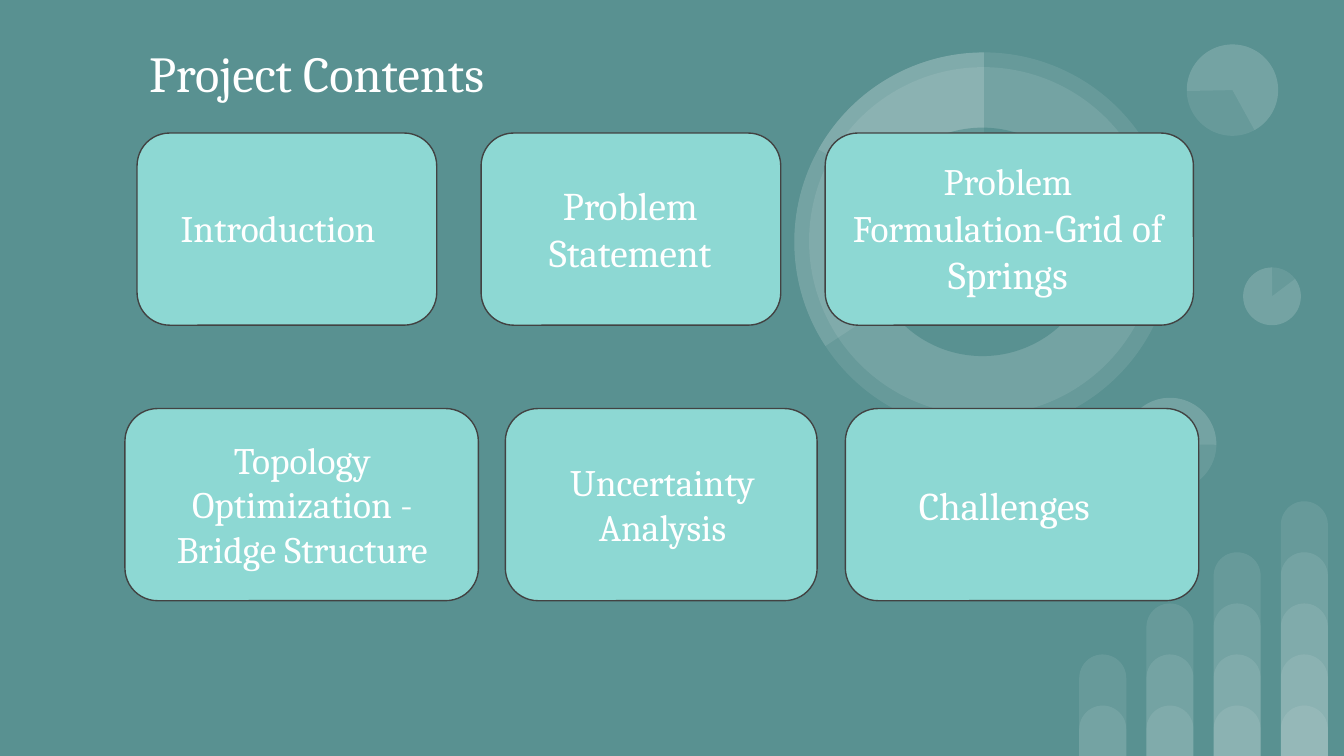
from lxml import etree
from pptx import Presentation
from pptx.dml.color import RGBColor
from pptx.enum.shapes import MSO_SHAPE
from pptx.enum.text import MSO_ANCHOR, MSO_AUTO_SIZE, PP_ALIGN
from pptx.oxml.ns import qn
from pptx.util import Inches, Pt

TEAL = RGBColor(0x59, 0x91, 0x91)
MINT = RGBColor(0x8D, 0xD8, 0xD3)
CHARCOAL = RGBColor(0x42, 0x42, 0x42)
WHITE = RGBColor(0xFF, 0xFF, 0xFF)
SLIDE_WIDTH = 10
SLIDE_HEIGHT = SLIDE_WIDTH * 9 / 16

presentation = Presentation()
presentation.slide_width = Inches(SLIDE_WIDTH)
presentation.slide_height = Inches(SLIDE_HEIGHT)
slide = presentation.slides.add_slide(presentation.slide_layouts[5])
slide.background.fill.solid()
slide.background.fill.fore_color.rgb = TEAL


def add_filled_shape(kind, box, color, opacity=100):
    """Add a shadowless, borderless shape; opacity is in percent."""
    shape = slide.shapes.add_shape(kind, *map(Inches, box))
    shape.shadow.inherit = False
    shape.line.fill.background()
    shape.fill.solid()
    shape.fill.fore_color.rgb = color
    if opacity < 100:
        color_element = shape.fill._xPr.find(qn("a:solidFill"))[0]
        etree.SubElement(color_element, qn("a:alpha"), val=str(opacity * 1000))
    return shape


def write_text(shape, runs, alignment):
    """Fill a shape with one paragraph of (text, size) runs."""
    frame = shape.text_frame
    frame_format = {
        "word_wrap": True, "auto_size": MSO_AUTO_SIZE.SHAPE_TO_FIT_TEXT,
        "vertical_anchor": MSO_ANCHOR.TOP,
        "margin_left": Inches(0.1), "margin_right": Inches(0.1),
        "margin_top": Inches(0.1), "margin_bottom": Inches(0.1),
    }
    for name, value in frame_format.items():
        setattr(frame, name, value)
    paragraph = frame.paragraphs[0]
    paragraph.alignment = alignment
    for text, size in runs:
        run = paragraph.add_run()
        run.text = text
        for name, value in {"name": "Cambria", "size": Pt(size)}.items():
            setattr(run.font, name, value)
        run.font.color.rgb = WHITE


# Bars: each column stacks one more overlapping layer than the one before
for column in range(4):
    for layer in range(column + 2):
        top = 5.25 - 0.38 * layer
        bar = add_filled_shape(
            MSO_SHAPE.ROUND_2_SAME_RECTANGLE,
            (8.03 + 0.5 * column, top, 0.35, SLIDE_HEIGHT - top), WHITE, 9)
        bar.adjustments[0] = 0.5
        bar.adjustments[1] = 0

# Discs, back to front: left, top, diameter, rotation, colour, opacity,
# and for a pie slice its start and end angle in degrees
RING = (5.91, 0.39, 2.82)
LOWER_DISC = (8.36, 2.96, 0.69)
MIDDLE_DISC = (9.25, 1.99, 0.43)
UPPER_DISC = (8.83, 0.33, 0.68)
discs = [
    (*MIDDLE_DISC, 0, WHITE, 9, None),
    (*LOWER_DISC, 90, WHITE, 9, None),
    (*LOWER_DISC, 90, WHITE, 9, (137.41, 270.77)),
    (8.5, 3.09, 0.43, 90, WHITE, 9, None),
    (*MIDDLE_DISC, 0, WHITE, 9, (322.95, 270)),
    (*UPPER_DISC, 215.9, WHITE, 9, None),
    (*UPPER_DISC, 215.9, WHITE, 9, (322.95, 205.23)),
    (*RING, 0, WHITE, 9, None),
    (6.02, 0.5, 2.59, 34.1, WHITE, 9, None),
    (*RING, 0, WHITE, 9, (146.69, 270)),
    (6.46, 0.95, 1.7, 34.1, TEAL, 100, None),
    (*RING, 0, WHITE, 9, (209.24, 270)),
]
for left, top, diameter, rotation, color, opacity, angles in discs:
    kind = MSO_SHAPE.PIE if angles else MSO_SHAPE.OVAL
    disc = add_filled_shape(kind, (left, top, diameter, diameter), color, opacity)
    disc.rotation = rotation
    # Angles are stored in 60000ths of a degree, adjustments in 100000ths
    for index, angle in enumerate(angles or ()):
        disc.adjustments[index] = angle * 0.6

# Cards: left, top, width, then label box and label runs
UPPER, LOWER, CARD_HEIGHT = 0.99, 3.04, 1.43
cards = [
    (1.02, UPPER, 2.23, (1.14, 1.43, 1.86, 0.54), [("Introduction", 20)]),
    (3.58, UPPER, 2.23, (3.76, 1.25, 1.86, 0.91), [("Problem Statement", 21)]),
    (6.14, UPPER, 2.74, (6.23, 1.08, 2.54, 1.25),
     [("Problem Formulation-", 20), ("Grid of Springs", 21)]),
    (0.93, LOWER, 2.63, (1.02, 3.15, 2.46, 1.21),
     [("Topology Optimization - Bridge Structure", 20)]),
    (3.76, LOWER, 2.32, (3.88, 3.32, 2.1, 0.88), [("Uncertainty Analysis", 20)]),
    (6.29, LOWER, 2.63, (6.39, 3.48, 2.23, 0.56), [("Challenges ", 21)]),
]
for left, top, width, label_box, runs in cards:
    card = add_filled_shape(
        MSO_SHAPE.ROUNDED_RECTANGLE, (left, top, width, CARD_HEIGHT), MINT)
    card.adjustments[0] = 0.17
    card.line.color.rgb = CHARCOAL
    card.line.width = Pt(0.75)
    label = slide.shapes.add_textbox(*map(Inches, label_box))
    write_text(label, runs, PP_ALIGN.CENTER)

title = slide.shapes.title
title_box = {"left": 1.01, "top": 0.21, "width": 5.39, "height": 0.66}
for name, value in title_box.items():
    setattr(title, name, Inches(value))
write_text(title, [("Project Contents", 27)], PP_ALIGN.LEFT)

presentation.save("out.pptx")
